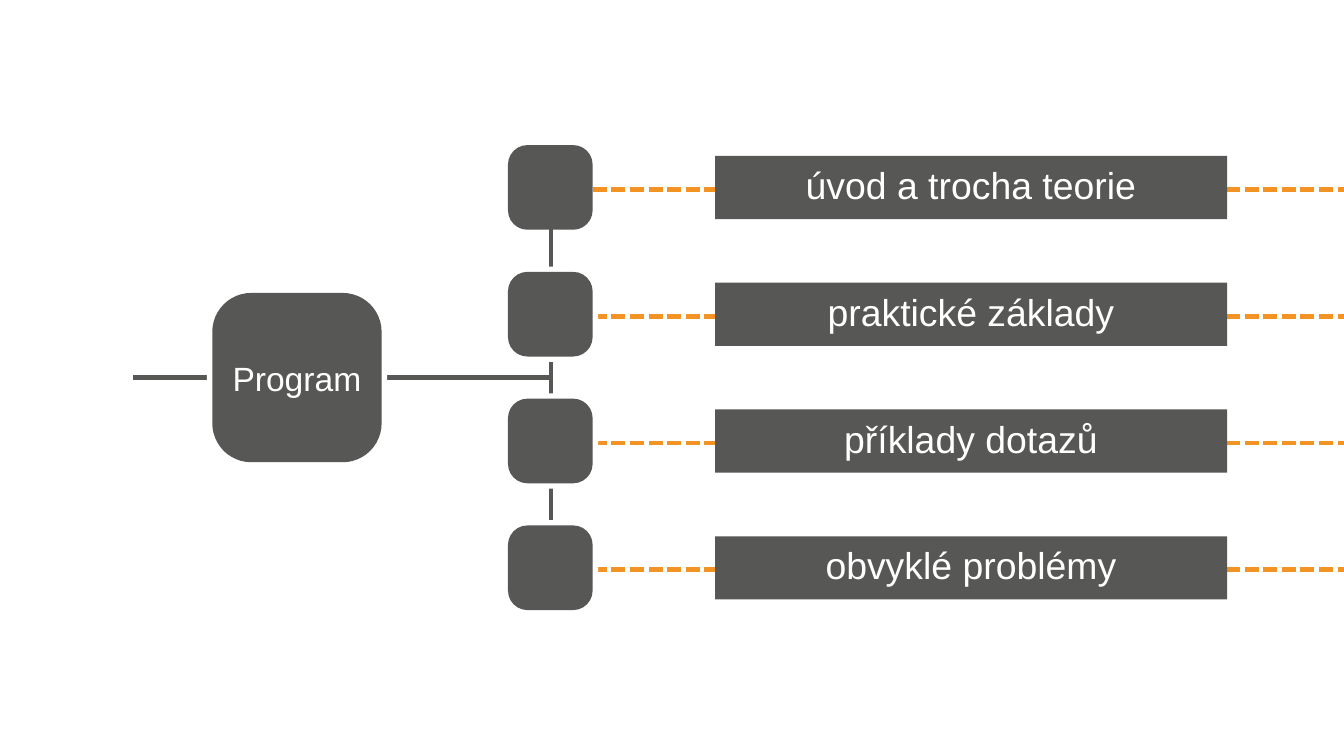
import lxml.etree
import pptx
import pptx.dml.color
import pptx.enum.dml
import pptx.enum.shapes
import pptx.enum.text
import pptx.oxml.ns
import pptx.util
from pptx.util import Inches

GREY = pptx.dml.color.RGBColor(0x57, 0x57, 0x56)
ORANGE = pptx.dml.color.RGBColor(0xF3, 0x93, 0x23)
WHITE = pptx.dml.color.RGBColor(0xFF, 0xFF, 0xFF)

TOPICS = ["úvod a trocha teorie", "praktické základy", "příklady dotazů", "obvyklé problémy"]
ROW_SPAN = 2.83  # from the first row to the last
NODE_LEFT, NODE_TOP, NODE_SIZE = 3.78, 1.08, 0.63
HALO = 0.04
TRUNK_X, TRUNK_Y = 4.1, 2.81


def add_line(slide, start, end, color, dash=None):
    line = slide.shapes.add_connector(
        pptx.enum.shapes.MSO_CONNECTOR.STRAIGHT, *map(Inches, start + end))
    line.line.color.rgb = color
    line.line.width = pptx.util.Pt(2.5)
    if dash is not None:
        line.line.dash_style = dash
    lxml.etree.SubElement(line._element.spPr, pptx.oxml.ns.qn("a:effectLst"))


def add_rounded_square(slide, left, top, size, color):
    square = slide.shapes.add_shape(
        pptx.enum.shapes.MSO_SHAPE.ROUNDED_RECTANGLE,
        Inches(left), Inches(top), Inches(size), Inches(size))
    square.adjustments[0] = 0.23
    square.shadow.inherit = False
    square.fill.solid()
    square.fill.fore_color.rgb = color
    square.line.fill.background()
    return square


def add_node(slide, left, top, size, halo=True):
    """Add a grey square, with a white margin that interrupts the lines behind it."""
    if halo:
        add_rounded_square(slide, left - HALO, top - HALO, size + 2 * HALO, WHITE)
    return add_rounded_square(slide, left, top, size, GREY)


def write_centered(shape, text, size):
    frame = shape.text_frame
    frame.text = text
    frame.word_wrap = True
    frame.auto_size = pptx.enum.text.MSO_AUTO_SIZE.NONE
    frame.vertical_anchor = pptx.enum.text.MSO_ANCHOR.MIDDLE
    para = frame.paragraphs[0]
    para.alignment = pptx.enum.text.PP_ALIGN.CENTER
    font = para.runs[0].font
    font.name = "Arial"
    font.size = pptx.util.Pt(size)
    font.bold = False
    font.color.rgb = WHITE
    return para


def format_topic(slide, label, text, top):
    label.left, label.top = Inches(5.32), Inches(top)
    label.width, label.height = Inches(3.81), Inches(0.47)
    label.fill.solid()
    label.fill.fore_color.rgb = GREY
    para = write_centered(label, text, 20)
    para.line_spacing = 0.9
    para.space_before = pptx.util.Pt(7.5)
    properties = para._p.get_or_add_pPr()
    properties.set("marL", "0")
    properties.set("indent", "0")
    lxml.etree.SubElement(properties, pptx.oxml.ns.qn("a:buNone"))
    # Bring the label in front of the dashed line
    slide.shapes._spTree.append(label._element)


def main():
    deck = pptx.Presentation()
    deck.slide_width = Inches(10)
    deck.slide_height = deck.slide_width * 9 // 16
    # The comparison layout has four body placeholders
    slide = deck.slides.add_slide(deck.slide_layouts[4])
    title, *labels = list(slide.placeholders)
    title._element.getparent().remove(title._element)

    rows = [row * ROW_SPAN / (len(TOPICS) - 1) for row in range(len(TOPICS))]
    for offset in rows:
        y = 1.41 + offset
        add_line(slide, (NODE_LEFT + NODE_SIZE, y), (10, y), ORANGE,
                 pptx.enum.dml.MSO_LINE.SQUARE_DOT)
    add_line(slide, (TRUNK_X, 1.39), (TRUNK_X, 3.88), GREY)
    add_line(slide, (0.99, TRUNK_Y), (1.54, TRUNK_Y), GREY)
    add_line(slide, (2.84, TRUNK_Y), (TRUNK_X, TRUNK_Y), GREY)

    program = add_node(slide, 1.58, 2.18, 1.26)
    program.text_frame.margin_left = program.text_frame.margin_right = 0
    write_centered(program, "Program", 18)

    for offset, label, topic in zip(rows, labels, TOPICS):
        add_node(slide, NODE_LEFT, NODE_TOP + offset, NODE_SIZE, halo=offset > 0)
        format_topic(slide, label, topic, 1.16 + offset)

    deck.save("out.pptx")


if __name__ == "__main__":
    main()
